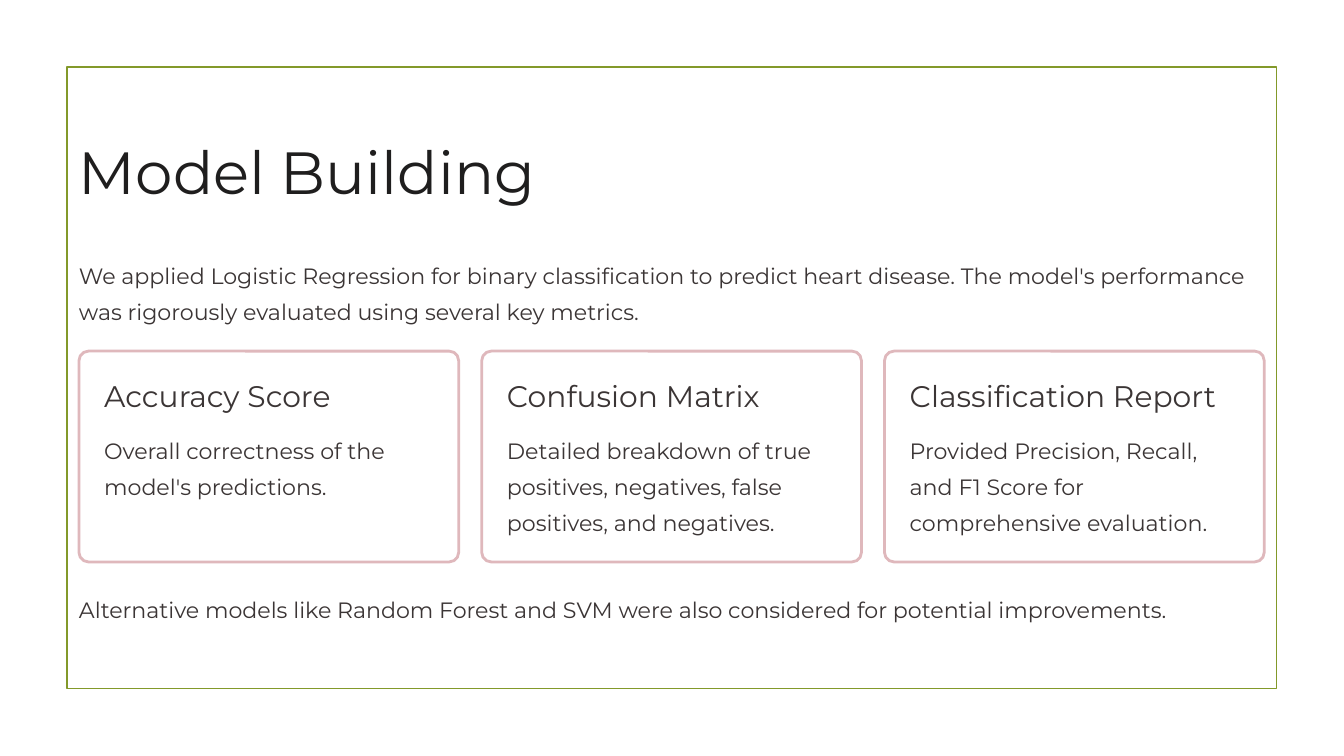
from dataclasses import dataclass

from pptx import Presentation
from pptx import util as u
from pptx.dml.color import RGBColor
from pptx.enum import shapes, text


@dataclass(frozen=True)
class Style:
    size: float
    leading: float
    color: str


@dataclass(frozen=True)
class Theme:
    font: str = "Montserrat"
    paper: str = "FFFFFF"
    frame: str = "83992A"
    card_line: str = "DFB8BC"
    title: Style = Style(51, 63.5, "1F1E1E")
    heading: Style = Style(25.5, 31.5, "3B3535")
    body: Style = Style(19, 31, "3B3535")


THEME = Theme()

# Slide grid, in inches
WIDTH, HEIGHT = 16, 9
FRAME = 0.8
MARGIN = 0.94
CONTENT = 14.11
GAP = 0.275
CARD_TOP, CARD_HEIGHT = 4.18, 2.51
PADDING = 0.3

CARDS = [
    ("Accuracy Score", "Overall correctness of the model's predictions."),
    ("Confusion Matrix",
     "Detailed breakdown of true positives, negatives, false positives, and negatives."),
    ("Classification Report",
     "Provided Precision, Recall, and F1 Score for comprehensive evaluation."),
]


def add_box(s, kind, box, line, width, fill=None):
    sp = s.shapes.add_shape(kind, *map(u.Inches, box))
    sp.shadow.inherit = False
    if fill:
        sp.fill.solid()
        sp.fill.fore_color.rgb = RGBColor.from_string(fill)
    else:
        sp.fill.background()
    sp.line.color.rgb = RGBColor.from_string(line)
    sp.line.width = u.Pt(width)
    return sp


def add_text(s, words, box, style, wrap=True):
    tf = s.shapes.add_textbox(*map(u.Inches, box)).text_frame
    tf.margin_left = tf.margin_top = tf.margin_right = tf.margin_bottom = 0
    tf.word_wrap = wrap
    tf.vertical_anchor = text.MSO_ANCHOR.TOP
    p = tf.paragraphs[0]
    p.text = words
    p.alignment = text.PP_ALIGN.LEFT
    p.line_spacing = u.Pt(style.leading)
    p.font.name = THEME.font
    p.font.size = u.Pt(style.size)
    p.font.color.rgb = RGBColor.from_string(style.color)


def add_card(s, left, width, heading, body):
    sp = add_box(s, shapes.MSO_SHAPE.ROUNDED_RECTANGLE,
                 (left, CARD_TOP, width, CARD_HEIGHT),
                 THEME.card_line, 2.4, THEME.paper)
    sp.adjustments[0] = 0.045
    x, inner = left + PADDING, width - 2 * PADDING
    add_text(s, heading, (x, CARD_TOP + PADDING, inner, 0.44), THEME.heading, wrap=False)
    add_text(s, body, (x, CARD_TOP + 0.91, inner, 1.3), THEME.body)


def main():
    prs = Presentation()
    prs.slide_width, prs.slide_height = u.Inches(WIDTH), u.Inches(HEIGHT)
    s = prs.slides.add_slide(prs.slide_layouts[6])

    # Frame
    add_box(s, shapes.MSO_SHAPE.RECTANGLE,
            (FRAME, FRAME, WIDTH - 2 * FRAME, HEIGHT - 2 * FRAME), THEME.frame, 1.25)

    # Title and introduction
    add_text(s, "Model Building", (MARGIN, 1.58, CONTENT / 2, 0.89), THEME.title, wrap=False)
    add_text(s, "We applied Logistic Regression for binary classification to predict "
                "heart disease. The model's performance was rigorously evaluated "
                "using several key metrics.", (MARGIN, 3.01, CONTENT, 0.86), THEME.body)

    # Metric cards in equal columns
    width = (CONTENT - GAP * (len(CARDS) - 1)) / len(CARDS)
    for i, (heading, body) in enumerate(CARDS):
        add_card(s, MARGIN + i * (width + GAP), width, heading, body)

    # Closing remark
    add_text(s, "Alternative models like Random Forest and SVM were also considered "
                "for potential improvements.", (MARGIN, 6.99, CONTENT, 0.43),
             THEME.body, wrap=False)

    prs.save("out.pptx")


if __name__ == "__main__":
    main()
